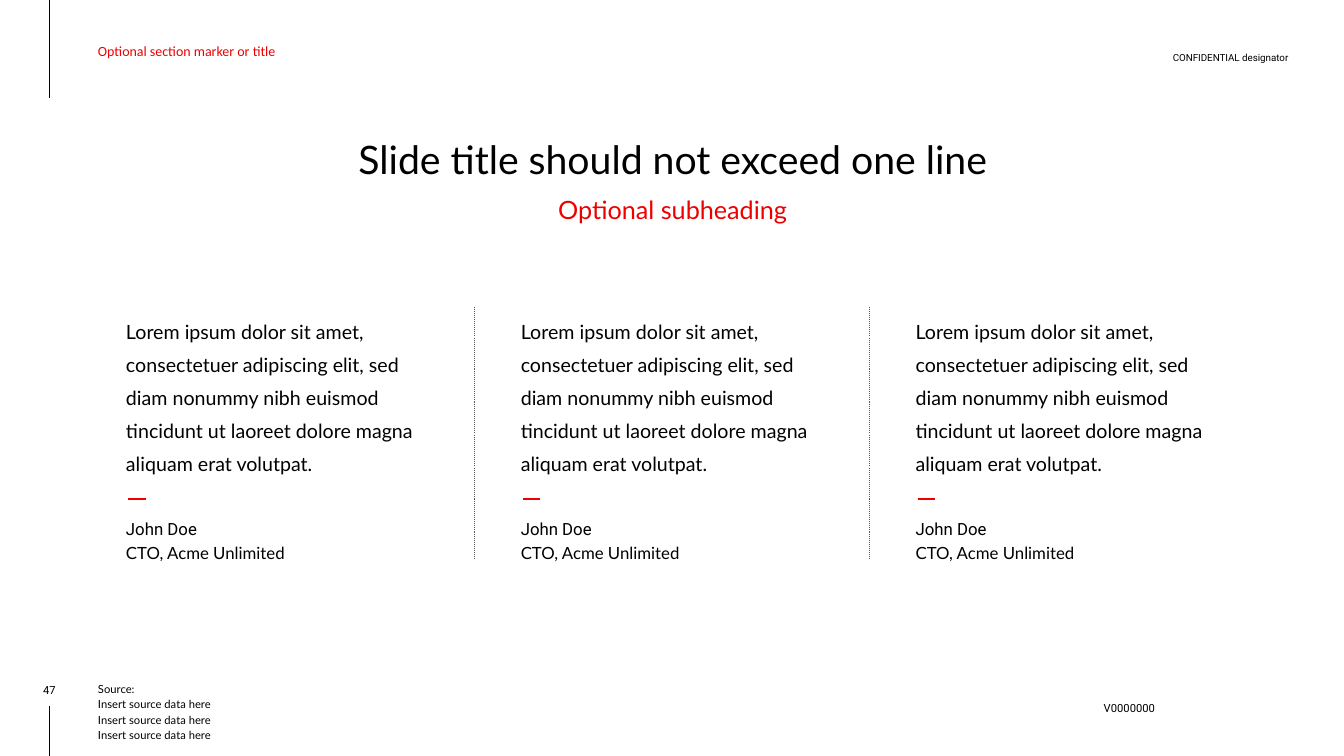
import pptx
import pptx.util
import pptx.dml.color
import pptx.enum.dml
import pptx.enum.shapes
import pptx.enum.text
import pptx.oxml

Pt = pptx.util.Pt
ALIGN = pptx.enum.text.PP_ALIGN
ANCHOR = pptx.enum.text.MSO_ANCHOR
DASH = pptx.enum.dml.MSO_LINE

COLORS = {"red": "EE0000", "black": "000000", "gray": "595959"}
MARGIN_X = 35.3
CONTENT_X = 70
CONTENT_W = 821
COLUMN_X = 90
COLUMN_PITCH = 282
COLUMN_W = 217
QUOTE = ("Lorem ipsum dolor sit amet, consectetuer adipiscing elit, sed diam "
         "nonummy nibh euismod tincidunt ut laoreet dolore magna aliquam erat volutpat.")
QUOTES = [(QUOTE, "John Doe", "CTO, Acme Unlimited")] * 3
SOURCES = ["Source:"] + ["Insert source data here"] * 3


def rgb(name):
    return pptx.dml.color.RGBColor.from_string(COLORS[name])


def add_text(slide, text, x, y, w, h, size=12, fonts=("Lato",), color="black",
             align=ALIGN.LEFT, anchor=ANCHOR.TOP, spacing=1.0):
    """Add one paragraph per line of text; the last font serves all further lines."""
    tf = slide.shapes.add_textbox(Pt(x), Pt(y), Pt(w), Pt(h)).text_frame
    tf.word_wrap = True
    tf.vertical_anchor = anchor
    tf.margin_left = tf.margin_right = tf.margin_top = tf.margin_bottom = 0
    for i, line in enumerate(text.split("\n")):
        p = tf.add_paragraph() if i else tf.paragraphs[0]
        p.alignment = align
        p.line_spacing = spacing
        r = p.add_run()
        r.text = line
        r.font.name = fonts[min(i, len(fonts) - 1)]
        r.font.size = Pt(size)
        r.font.color.rgb = rgb(color)


def add_line(slide, x1, y1, x2, y2, color, width=0.75, dash=None):
    line = slide.shapes.add_connector(pptx.enum.shapes.MSO_CONNECTOR.STRAIGHT,
                                      Pt(x1), Pt(y1), Pt(x2), Pt(y2))
    line.line.color.rgb = rgb(color)
    line.line.width = Pt(width)
    if dash is not None:
        line.line.dash_style = dash
    line._element.spPr.append(pptx.oxml.parse_xml(
        '<a:effectLst xmlns:a="http://schemas.openxmlformats.org/drawingml/2006/main"/>'))


def add_frame(slide):
    """Add the margin lines, header and footer."""
    add_line(slide, MARGIN_X, 0, MARGIN_X, 70, "black")
    add_line(slide, MARGIN_X, 504, MARGIN_X, 540, "black")
    add_text(slide, "Optional section marker or title", CONTENT_X, 4.3, 364, 64,
             size=10, fonts=("Calibri",), color="red", anchor=ANCHOR.MIDDLE)
    add_text(slide, "CONFIDENTIAL designator", 762, 21.5, 158.2, 24, size=7,
             fonts=("Roboto",), align=ALIGN.RIGHT, anchor=ANCHOR.BOTTOM, spacing=1.5)
    add_text(slide, "V0000000", 767.5, 497, 57.6, 18, size=8, fonts=("Roboto",),
             align=ALIGN.RIGHT, anchor=ANCHOR.MIDDLE)
    add_text(slide, "47", 6.5, 486, 57.6, 11.5, size=8, fonts=("Roboto",),
             align=ALIGN.CENTER, anchor=ANCHOR.BOTTOM)
    add_text(slide, "\n".join(SOURCES), CONTENT_X, 486, 630, 44, size=8,
             anchor=ANCHOR.BOTTOM, spacing=1.15)


def add_quote(slide, x, quote, name, role):
    add_text(slide, quote, x, 222, COLUMN_W, 122, size=14, spacing=1.4)
    add_line(slide, x + 1.7, 356.3, x + 14, 356.3, "red", width=1.5)
    add_text(slide, f"{name}\n{role}", x, 368.6, COLUMN_W, 34,
             fonts=("Roboto", "Lato"), spacing=1.15)


def main():
    prs = pptx.Presentation()
    prs.slide_width, prs.slide_height = Pt(960), Pt(540)
    slide = prs.slides.add_slide(prs.slide_layouts[6])
    add_frame(slide)
    add_text(slide, "Slide title should not exceed one line", CONTENT_X, 86.4,
             CONTENT_W, 43, size=28, align=ALIGN.CENTER, spacing=1.3)
    add_text(slide, "Optional subheading", CONTENT_X, 130.3, CONTENT_W, 23,
             size=18, color="red", align=ALIGN.CENTER, spacing=1.4)
    for i, quote in enumerate(QUOTES):
        x = COLUMN_X + i * COLUMN_PITCH
        add_quote(slide, x, *quote)
        if i:
            divider_x = x - 32.8
            add_line(slide, divider_x, 219, divider_x, 399.6, "gray",
                     dash=DASH.ROUND_DOT)
    prs.save("out.pptx")


if __name__ == "__main__":
    main()
